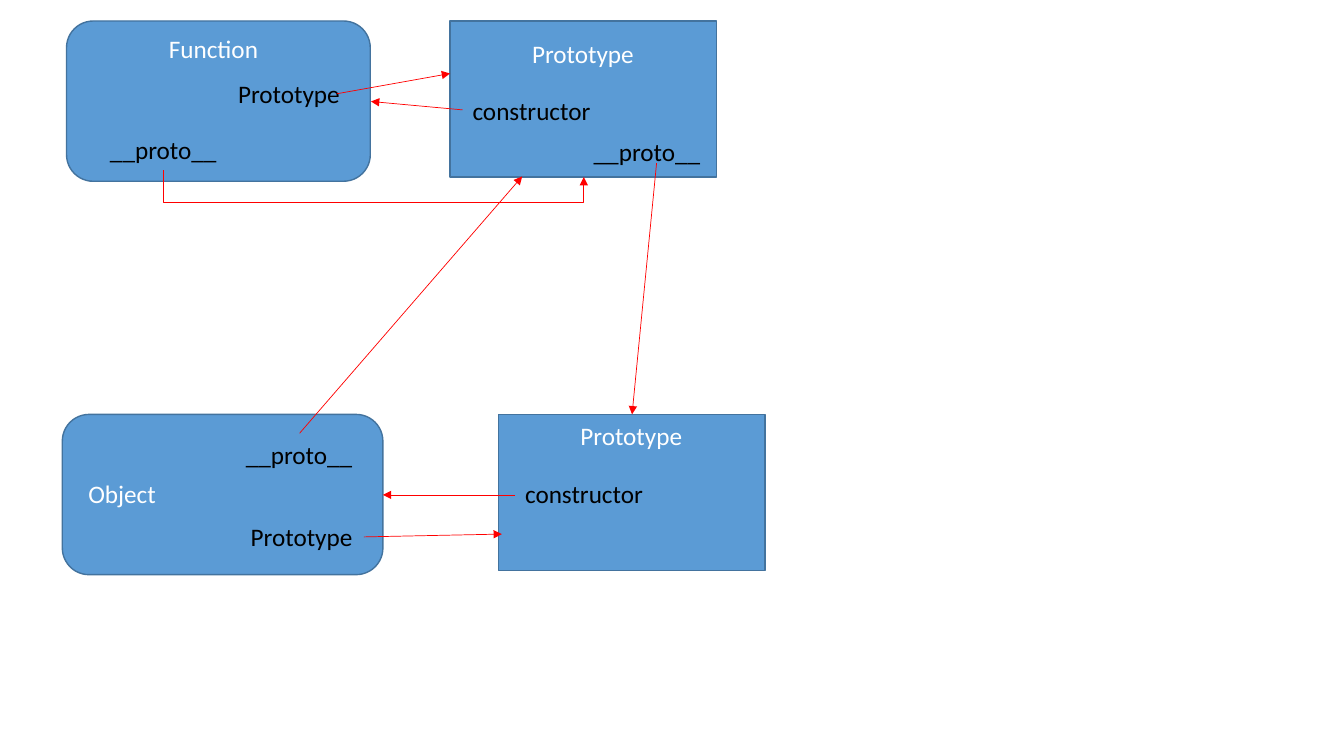
from lxml.etree import SubElement
from pptx import Presentation
from pptx.dml.color import RGBColor
from pptx.enum.shapes import MSO_CONNECTOR, MSO_SHAPE
from pptx.oxml.ns import qn
from pptx.util import Pt

BLUE = RGBColor(0x5B, 0x9B, 0xD5)
OUTLINE = RGBColor(0x43, 0x73, 0x9E)
RED = RGBColor(0xFF, 0x00, 0x00)
WHITE = RGBColor(0xFF, 0xFF, 0xFF)
BLACK = RGBColor(0x00, 0x00, 0x00)

ROUNDED, SQUARE = MSO_SHAPE.ROUNDED_RECTANGLE, MSO_SHAPE.RECTANGLE
BOX_HEIGHT = {ROUNDED: 114.5, SQUARE: 111.5}
LABEL_HEIGHT = 29
LABEL_WIDTH = {"Function": 79, "Object": 63, "Prototype": 88,
               "constructor": 99.5, "__proto__": 91.5}

# shape, left, top, width, title (text, left, top), members (text, left, top)
BOXES = [
    (ROUNDED, 47.5, 15, 217, ("Function", 113.5, 20.5),
     [("Prototype", 163, 52.5), ("__proto__", 71.5, 92.5)]),
    (SQUARE, 321.5, 15, 190.5, ("Prototype", 373, 23.5),
     [("constructor", 330.5, 64.5), ("__proto__", 417, 93.5)]),
    (ROUNDED, 44.5, 296, 229, ("Object", 56, 338),
     [("Prototype", 172, 368.5), ("__proto__", 168.5, 310)]),
    (SQUARE, 356, 296, 190.5, ("Prototype", 407.5, 297),
     [("constructor", 368, 338)]),
]

# start x, start y, end x, end y
ARROWS = [
    (240.5, 67, 321.5, 52.5),
    (330.5, 78.5, 265, 72.5),
    (260, 383.5, 358.5, 381.5),
    (368, 353.5, 273.5, 353.5),
    (214, 309.5, 373, 126),
    (469, 116.5, 451.5, 296),
]
FUNCTION_PROTO_ARROW = (116.5, 121.5, 417, 126.5)
ELBOW_LANE = 144.5


def add_box(slide, shape, left, top, width):
    box = slide.shapes.add_shape(shape, Pt(left), Pt(top), Pt(width), Pt(BOX_HEIGHT[shape]))
    box.shadow.inherit = False
    box.fill.solid()
    box.fill.fore_color.rgb = BLUE
    box.line.color.rgb = OUTLINE
    box.line.width = Pt(1)


def add_label(slide, text, left, top, color):
    label = slide.shapes.add_textbox(Pt(left), Pt(top), Pt(LABEL_WIDTH[text]), Pt(LABEL_HEIGHT))
    label.text_frame.word_wrap = False
    para = label.text_frame.paragraphs[0]
    para.text = text
    font = para.runs[0].font
    font.name = "Calibri"
    font.size = Pt(18)
    font.color.rgb = color


def add_arrow(slide, kind, *ends):
    arrow = slide.shapes.add_connector(kind, *map(Pt, ends))
    arrow.line.color.rgb = RED
    arrow.line.width = Pt(0.5)
    SubElement(arrow.line._get_or_add_ln(), qn("a:tailEnd"), type="triangle")
    SubElement(arrow._element.spPr, qn("a:effectLst"))
    return arrow


def add_under_arrow(slide, start_x, start_y, end_x, end_y, lane):
    """Elbow arrow that drops to the lane, runs along it and rises to its end.

    The connector is drawn upright and mirrored, then turned by 270 degrees.
    """
    middle_x, middle_y = (start_x + end_x) / 2, (start_y + end_y) / 2
    half_width, half_height = (end_y - start_y) / 2, (end_x - start_x) / 2
    arrow = add_arrow(slide, MSO_CONNECTOR.ELBOW,
                      middle_x + half_width, middle_y - half_height,
                      middle_x - half_width, middle_y + half_height)
    properties = arrow._element.spPr
    properties.find(qn("a:xfrm")).set("rot", str(270 * 60000))
    bend = round((lane - start_y) / (end_y - start_y) * 100000)
    guides = properties.find(qn("a:prstGeom")).get_or_add_avLst()
    SubElement(guides, qn("a:gd"), name="adj1", fmla=f"val {bend}")


def main():
    deck = Presentation()
    deck.slide_width, deck.slide_height = Pt(960), Pt(540)
    slide = deck.slides.add_slide(deck.slide_layouts[6])
    for shape, left, top, width, title, members in BOXES:
        add_box(slide, shape, left, top, width)
        add_label(slide, *title, WHITE)
        for member in members:
            add_label(slide, *member, BLACK)
    for ends in ARROWS:
        add_arrow(slide, MSO_CONNECTOR.STRAIGHT, *ends)
    add_under_arrow(slide, *FUNCTION_PROTO_ARROW, ELBOW_LANE)
    deck.save("out.pptx")


if __name__ == "__main__":
    main()
